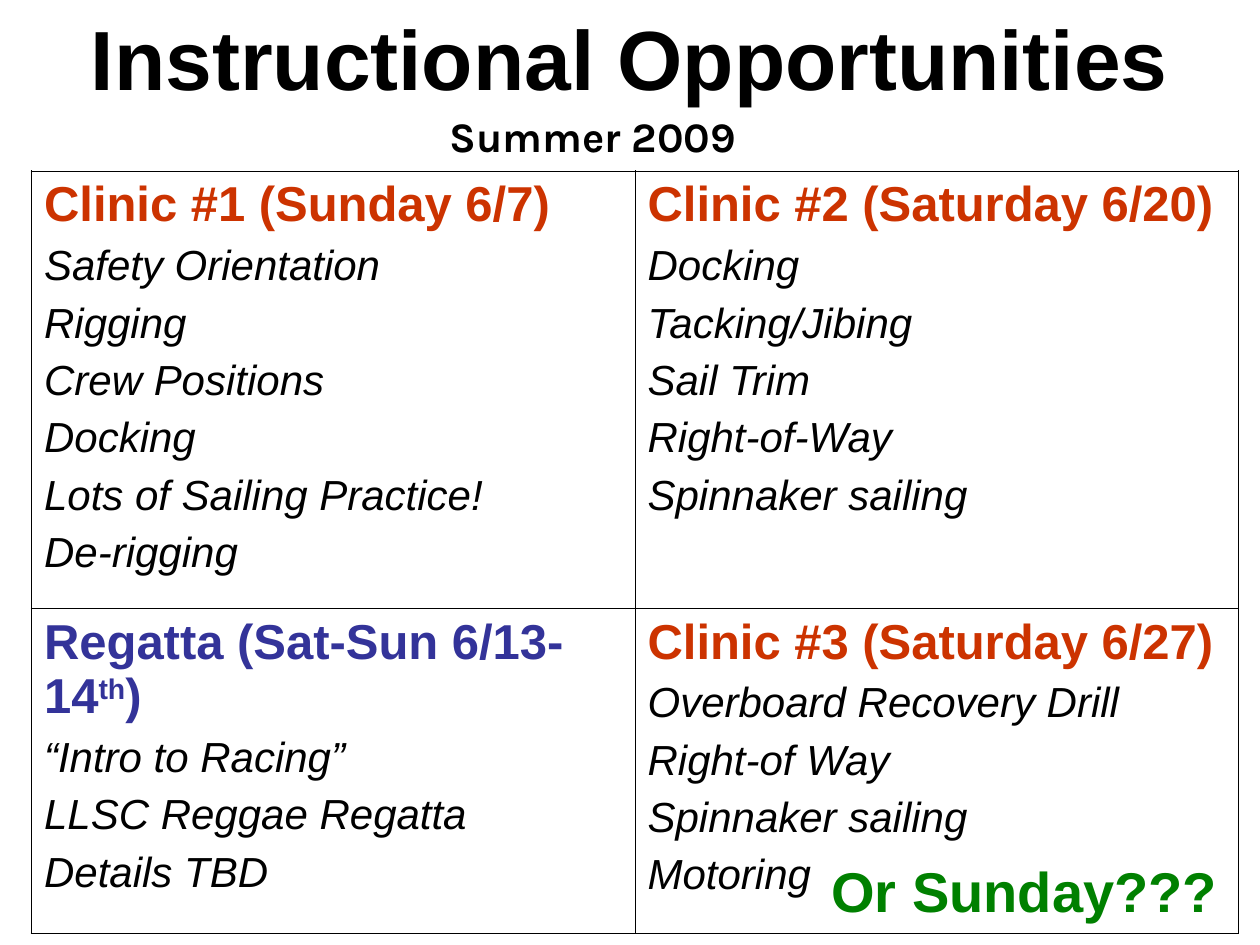
import pptx
import pptx.dml.color
import pptx.enum.text
import pptx.oxml
import pptx.oxml.ns
import pptx.util
from dataclasses import dataclass


@dataclass(frozen=True)
class Theme:
    font: str = "Arial"
    accent_font: str = "Karla"
    ink: str = "000000"
    clinic: str = "CC3300"
    regatta: str = "333399"
    note: str = "008000"
    title_size: int = 48
    note_size: int = 32
    heading_size: int = 28
    body_size: int = 24
    heading_gap: int = 6
    outer_line: float = 1.08
    inner_line: float = 0.45


THEME = Theme()
COLS, ROWS = 40, 30  # slide grid, a quarter inch per unit
CENTER = pptx.enum.text.PP_ALIGN.CENTER

# Each cell: heading colour, heading runs (text, superscript), topics
SCHEDULE = [
    [
        (THEME.clinic, [("Clinic #1 (Sunday 6/7)", False)],
         ["Safety Orientation", "Rigging", "Crew Positions", "Docking",
          "Lots of Sailing Practice!", "De-rigging"]),
        (THEME.clinic, [("Clinic #2 (Saturday 6/20)", False)],
         ["Docking", "Tacking/Jibing", "Sail Trim", "Right-of-Way",
          "Spinnaker sailing"]),
    ],
    [
        (THEME.regatta,
         [("Regatta (Sat-Sun 6/13-14", False), ("th", True), (")", False)],
         ["“Intro to Racing”", "LLSC Reggae Regatta", "Details TBD"]),
        (THEME.clinic, [("Clinic #3 (Saturday 6/27)", False)],
         ["Overboard Recovery Drill", "Right-of Way", "Spinnaker sailing",
          "Motoring"]),
    ],
]


def add_run(p, text, *, size, color=THEME.ink, font=THEME.font, bold=False,
            italic=False, superscript=False):
    r = p.add_run()
    r.text = text
    r.font.size = pptx.util.Pt(size)
    r.font.name = font
    r.font.bold = bold
    r.font.italic = italic
    r.font.color.rgb = pptx.dml.color.RGBColor.from_string(color)
    if superscript:
        r.font._element.set("baseline", "30000")


class SlideBuilder:
    def __init__(self, prs, theme):
        self.theme = theme
        self.unit_x = prs.slide_width / COLS
        self.unit_y = prs.slide_height / ROWS
        self.slide = prs.slides.add_slide(prs.slide_layouts[5])

    def box(self, col, row, width, height):
        return (round(col * self.unit_x), round(row * self.unit_y),
                round(width * self.unit_x), round(height * self.unit_y))

    def fill_frame(self, sp, text, align=None, **style):
        tf = sp.text_frame
        tf.word_wrap = True
        tf.auto_size = pptx.enum.text.MSO_AUTO_SIZE.NONE
        tf.vertical_anchor = pptx.enum.text.MSO_ANCHOR.TOP
        p = tf.paragraphs[0]
        p.alignment = align
        add_run(p, text, bold=True, **style)

    def title(self, text, *place):
        sp = self.slide.shapes.title
        sp.left, sp.top, sp.width, sp.height = self.box(*place)
        self.fill_frame(sp, text, CENTER, size=self.theme.title_size)

    def label(self, text, *place, **style):
        sp = self.slide.shapes.add_textbox(*self.box(*place))
        self.fill_frame(sp, text, **style)

    def borders(self, cell, outer_sides):
        tcPr = cell._tc.get_or_add_tcPr()
        for i, side in enumerate("LRTB"):
            t = self.theme
            width = t.outer_line if side in outer_sides else t.inner_line
            tcPr.insert(i, pptx.oxml.parse_xml(
                f'<a:ln{side} {pptx.oxml.ns.nsdecls("a")} w="{pptx.util.Pt(width)}">'
                f'<a:solidFill><a:srgbClr val="{t.ink}"/></a:solidFill></a:ln{side}>'))

    def session(self, cell, color, heading, topics):
        cell.fill.background()
        tf = cell.text_frame
        for text, raised in heading:
            add_run(tf.paragraphs[0], text, size=self.theme.heading_size,
                    color=color, bold=True, superscript=raised)
        for topic in topics:
            p = tf.add_paragraph()
            p.space_before = pptx.util.Pt(self.theme.heading_gap)
            add_run(p, topic, size=self.theme.body_size, italic=True)

    def table(self, schedule, row_heights, *place):
        rows, cols = len(schedule), len(schedule[0])
        table = self.slide.shapes.add_table(rows, cols, *self.box(*place)).table
        table.first_row = table.horz_banding = False
        for i, (sessions, height) in enumerate(zip(schedule, row_heights)):
            table.rows[i].height = round(height * self.unit_y)
            for j, session in enumerate(sessions):
                cell = table.cell(i, j)
                self.session(cell, *session)
                self.borders(cell, ("T" if i == 0 else "B") + ("L" if j == 0 else "R"))


def main():
    prs = pptx.Presentation()
    prs.slide_width = pptx.util.Inches(10)
    prs.slide_height = pptx.util.Inches(7.5)
    s = SlideBuilder(prs, THEME)

    # Title and season
    s.title("Instructional Opportunities", 0, 0, COLS, 3.6)
    s.label("Summer 2009", 12.32, 3.32, 13, 2, align=CENTER,
            size=THEME.body_size, font=THEME.accent_font)

    # Schedule table
    s.table(SCHEDULE, [13.88, 10.32], 1, 5.44, 38.32, 24.2)

    # Note over the last session
    s.label("Or Sunday???", 26, 27, 13.32, 2.56,
            size=THEME.note_size, color=THEME.note)

    prs.save("out.pptx")


if __name__ == "__main__":
    main()
